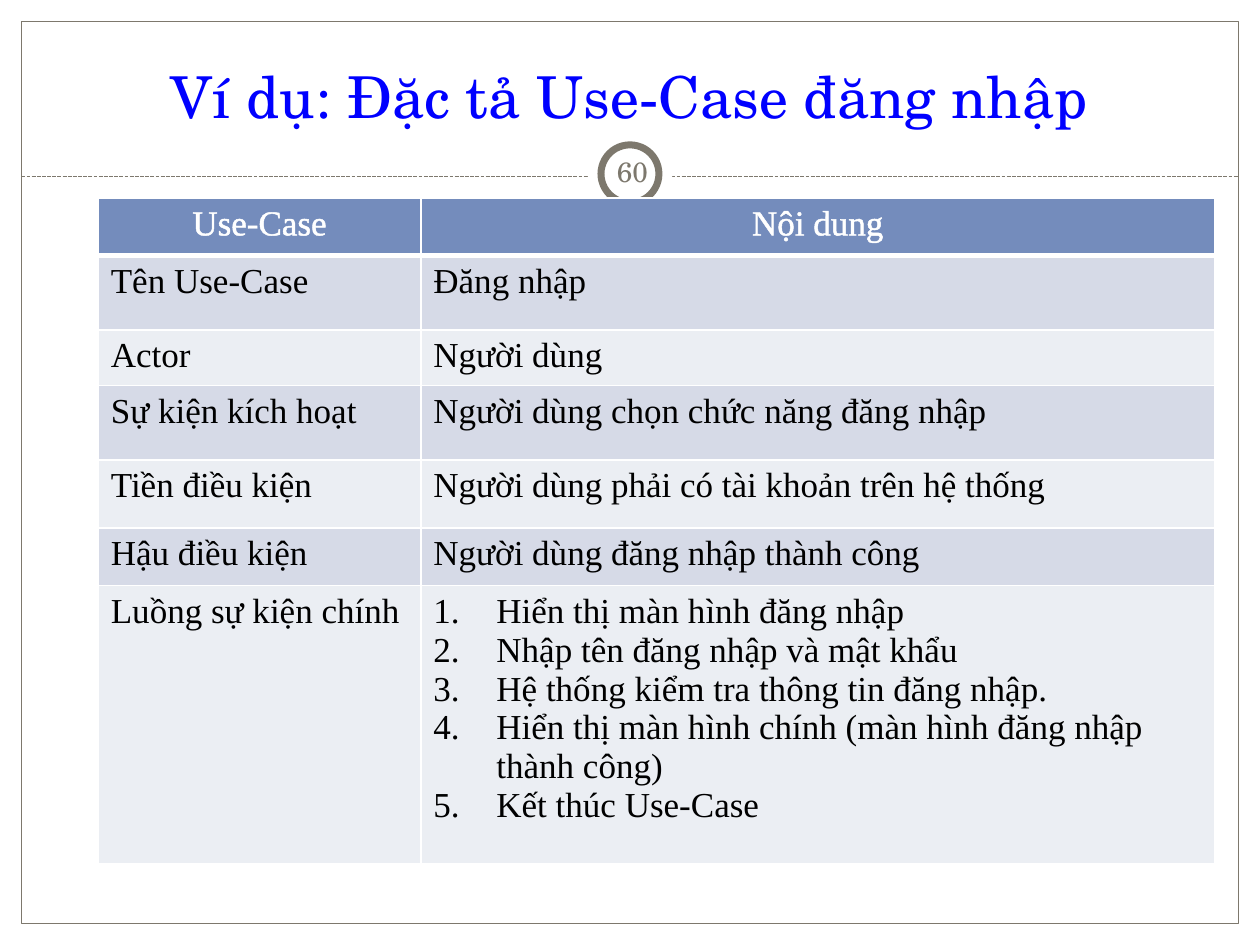
from lxml.etree import SubElement
from pptx import Presentation
from pptx.dml.color import RGBColor
from pptx.enum.dml import MSO_LINE
from pptx.enum.shapes import MSO_CONNECTOR, MSO_SHAPE
from pptx.enum.text import MSO_ANCHOR, PP_ALIGN
from pptx.oxml import parse_xml
from pptx.oxml.ns import nsdecls, qn
from pptx.util import Inches, Pt

COLUMNS, ROWS = 100, 75
WHITE, GREY, BLUE, BLACK = "FFFFFF", "7D786D", "0000FF", "000000"
HEADER, BANDS = "748CBC", ("D6DAE7", "EBEEF3")
SERIF, BODY = "TeX Gyre Schola", "Times New Roman"

USE_CASE = [
    ("Use-Case", ["Nội dung"], 4.6),
    ("Tên Use-Case", ["Đăng nhập"], 5.9),
    ("Actor", ["Người dùng"], 4.4),
    ("Sự kiện kích hoạt", ["Người dùng chọn chức năng đăng nhập"], 5.9),
    ("Tiền điều kiện", ["Người dùng phải có tài khoản trên hệ thống"], 5.4),
    ("Hậu điều kiện", ["Người dùng đăng nhập thành công"], 4.6),
    ("Luồng sự kiện chính", [
        "Hiển thị màn hình đăng nhập",
        "Nhập tên đăng nhập và mật khẩu",
        "Hệ thống kiểm tra thông tin đăng nhập.",
        "Hiển thị màn hình chính (màn hình đăng nhập thành công)",
        "Kết thúc Use-Case",
    ], 22.1),
]


def color(value):
    return RGBColor.from_string(value)


def line_xml(tag, width):
    return parse_xml(
        f'<a:{tag} {nsdecls("a")} w="{Pt(width)}"><a:solidFill>'
        f'<a:srgbClr val="{WHITE}"/></a:solidFill></a:{tag}>')


class SlideBuilder:
    """Holds the deck style and draws on a page divided into grid cells."""

    def __init__(self):
        self.deck = Presentation()
        self.deck.slide_width, self.deck.slide_height = Inches(10), Inches(7.5)
        self.page = self.deck.slides.add_slide(self.deck.slide_layouts[5])

    def across(self, columns):
        return round(self.deck.slide_width * columns / COLUMNS)

    def down(self, rows):
        return round(self.deck.slide_height * rows / ROWS)

    def area(self, left, top, width, height):
        return (self.across(left), self.down(top),
                self.across(width), self.down(height))

    def add_span(self, para, text, size, font, tint, align=PP_ALIGN.LEFT):
        para.alignment = align
        span = para.add_run()
        span.text = text
        span.font.size, span.font.name = Pt(size), font
        span.font.bold = False
        span.font.color.rgb = color(tint)
        return span

    def title(self, text, *area):
        box = self.page.shapes.title
        box.left, box.top, box.width, box.height = self.area(*area)
        box.text_frame.vertical_anchor = MSO_ANCHOR.BOTTOM
        self.add_span(box.text_frame.paragraphs[0], text, 33, SERIF, BLUE,
                      PP_ALIGN.CENTER)

    def shape(self, kind, *area, fill=None, line=None):
        shape = self.page.shapes.add_shape(kind, *self.area(*area))
        shape.shadow.inherit = False
        if fill:
            shape.fill.solid()
            shape.fill.fore_color.rgb = color(fill)
        else:
            shape.fill.background()
        if line:
            shape.line.color.rgb = color(GREY)
            shape.line.width = Pt(line)
        else:
            shape.line.fill.background()

    def rule(self, left, right, row):
        rule = self.page.shapes.add_connector(
            MSO_CONNECTOR.STRAIGHT, self.across(left), self.down(row),
            self.across(right), self.down(row))
        rule.line.color.rgb = color(GREY)
        rule.line.width = Pt(0.75)
        rule.line.dash_style = MSO_LINE.SQUARE_DOT
        properties = rule._element.spPr
        properties.find(f".//{qn('a:prstDash')}").set("val", "sysDash")
        SubElement(properties, qn("a:effectLst"))

    def label(self, text, *area):
        box = self.page.shapes.add_textbox(*self.area(*area))
        frame = box.text_frame
        frame.word_wrap = True
        frame.vertical_anchor = MSO_ANCHOR.MIDDLE
        frame.margin_left = frame.margin_right = Inches(0.05)
        frame.margin_top = frame.margin_bottom = Inches(0.05)
        self.add_span(frame.paragraphs[0], text, 16, SERIF, GREY,
                      PP_ALIGN.CENTER)

    def number(self, para):
        properties = para._p.get_or_add_pPr()
        properties.set("marL", str(Inches(0.5)))
        properties.set("indent", str(-Inches(0.5)))
        SubElement(properties, qn("a:buFont"), typeface="+mj-lt")
        SubElement(properties, qn("a:buAutoNum"), type="arabicPeriod")

    def cell(self, cell, lines, fill, is_header):
        cell.fill.solid()
        cell.fill.fore_color.rgb = color(fill)
        for place, side in enumerate("LRTB"):
            width = 3 if is_header and side == "B" else 1
            cell._tc.tcPr.insert(place, line_xml(f"ln{side}", width))
        frame = cell.text_frame
        for index, text in enumerate(lines):
            para = frame.add_paragraph() if index else frame.paragraphs[0]
            if is_header:
                span = self.add_span(para, text, 20, BODY, WHITE,
                                     PP_ALIGN.CENTER)
                span._r.rPr.insert(0, line_xml("ln", 0.75))
            else:
                self.add_span(para, text, 20, BODY, BLACK)
            if len(lines) > 1:
                self.number(para)

    def table(self, records, left, top, widths):
        heights = [record[2] for record in records]
        table = self.page.shapes.add_table(
            len(records), len(widths),
            *self.area(left, top, sum(widths), sum(heights))).table
        for column, width in zip(table.columns, widths):
            column.width = self.across(width)
        for index, (name, content, height) in enumerate(records):
            table.rows[index].height = self.down(height)
            fill = BANDS[(index - 1) % 2] if index else HEADER
            for column, lines in enumerate(([name], content)):
                self.cell(table.cell(index, column), lines, fill, index == 0)


def main():
    slide = SlideBuilder()
    slide.shape(MSO_SHAPE.RECTANGLE, 1.7, 1.7, 96.6, 71.6, line=0.75)
    slide.rule(1.7, 98.3, 14)
    slide.shape(MSO_SHAPE.OVAL, 46.65, 10.5, 6.7, 6.7, fill=WHITE)
    slide.shape(MSO_SHAPE.OVAL, 47.7, 11.5, 4.6, 4.6, fill=WHITE, line=4)
    slide.title("Ví dụ: Đặc tả Use-Case đăng nhập", 3.3, 2.5, 93.3, 8.3)
    slide.table(USE_CASE, 7.8, 15.7, (25.6, 63))
    slide.label("60", 47.7, 11.2, 5, 4.8)
    slide.deck.save("out.pptx")


if __name__ == "__main__":
    main()
